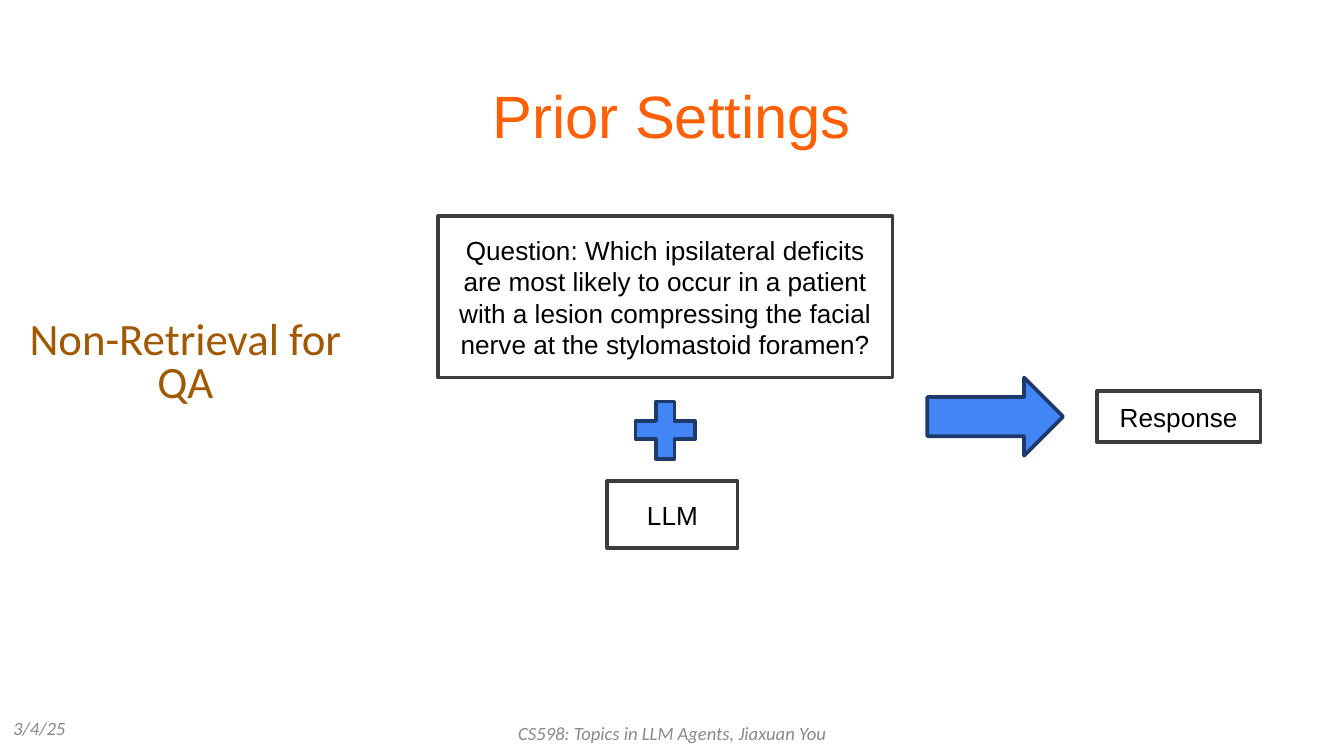
from typing import NamedTuple, Optional

from pptx import Presentation
from pptx.dml.color import RGBColor
from pptx.enum.shapes import MSO_SHAPE
from pptx.enum.text import MSO_ANCHOR, PP_ALIGN
from pptx.util import Pt

RECTANGLE = MSO_SHAPE.RECTANGLE
PLUS = MSO_SHAPE.MATH_PLUS
RIGHT_ARROW = MSO_SHAPE.RIGHT_ARROW
LEFT, CENTER = PP_ALIGN.LEFT, PP_ALIGN.CENTER
TOP, MIDDLE = MSO_ANCHOR.TOP, MSO_ANCHOR.MIDDLE

WHITE = RGBColor(0xFF, 0xFF, 0xFF)
BLACK = RGBColor(0x00, 0x00, 0x00)
ORANGE = RGBColor(0xFF, 0x5F, 0x05)
BROWN = RGBColor(0xA0, 0x59, 0x00)
GRAY = RGBColor(0x89, 0x89, 0x89)
CHARCOAL = RGBColor(0x3C, 0x3C, 0x3C)
BLUE = RGBColor(0x42, 0x85, 0xF4)
NAVY = RGBColor(0x1D, 0x3A, 0x6B)


class Area(NamedTuple):
    left: float
    top: float
    width: float
    height: float


class Step(NamedTuple):
    area: Area
    text: str = ""
    preset: MSO_SHAPE = RECTANGLE
    fill: RGBColor = WHITE
    line: RGBColor = CHARCOAL


STEPS = [
    Step(Area(234.7, 115.9, 243.4, 86.4),
         "Question: Which ipsilateral deficits are most likely to occur in a "
         "patient with a lesion compressing the facial nerve at the "
         "stylomastoid foramen?"),
    Step(Area(325.4, 257.8, 69.8, 36), "LLM"),
    Step(Area(334.8, 209.5, 43.2, 41.8), preset=PLUS, fill=BLUE, line=NAVY),
    Step(Area(496.8, 202.3, 72.7, 41.8), preset=RIGHT_ARROW, fill=BLUE, line=NAVY),
    Step(Area(587.5, 209.5, 87.8, 27.4), "Response"),
]


def write(frame, text: str, *, size: float, color: RGBColor, font: str = "Arial",
          italic: bool = False, align: PP_ALIGN = CENTER, anchor: MSO_ANCHOR = TOP,
          spacing: Optional[float] = None, inset: float = 7.2) -> None:
    frame.word_wrap = True
    frame.vertical_anchor = anchor
    frame.margin_left = frame.margin_right = Pt(7.2)
    frame.margin_top = frame.margin_bottom = Pt(inset)
    paragraph = frame.paragraphs[0]
    paragraph.alignment = align
    if spacing:
        paragraph.line_spacing = spacing
    run = paragraph.add_run()
    run.text = text
    run.font.name = font
    run.font.size = Pt(size)
    run.font.italic = italic
    run.font.color.rgb = color


def add_label(slide, area: Area, text: str, **text_format) -> None:
    label = slide.shapes.add_textbox(*map(Pt, area))
    write(label.text_frame, text, **text_format)


def add_step(slide, step: Step) -> None:
    shape = slide.shapes.add_shape(step.preset, *map(Pt, step.area))
    shape.shadow.inherit = False
    shape.fill.solid()
    shape.fill.fore_color.rgb = step.fill
    shape.line.color.rgb = step.line
    shape.line.width = Pt(2)
    if step.text:
        write(shape.text_frame, step.text, size=14, color=BLACK,
              anchor=MIDDLE, inset=3.6)


def main() -> None:
    deck = Presentation()
    deck.slide_width, deck.slide_height = Pt(720), Pt(405)
    slide = deck.slides.add_slide(deck.slide_layouts[6])

    add_label(slide, Area(24.5, 35.3, 671, 45.4), "Prior Settings",
              size=32, color=ORANGE)
    add_label(slide, Area(0, 378, 236.2, 26.6), "3/4/25",
              size=10, color=GRAY, font="Calibri", italic=True, align=LEFT)
    add_label(slide, Area(7.9, 164.9, 182.9, 64.1), "Non-Retrieval for QA",
              size=24, color=BROWN, font="Calibri", spacing=0.8)
    for step in STEPS:
        add_step(slide, step)
    add_label(slide, Area(241.9, 378, 236.2, 26.6),
              "CS598: Topics in LLM Agents, Jiaxuan You",
              size=10, color=GRAY, font="Calibri", italic=True, spacing=1.15)

    deck.save("out.pptx")


if __name__ == "__main__":
    main()
